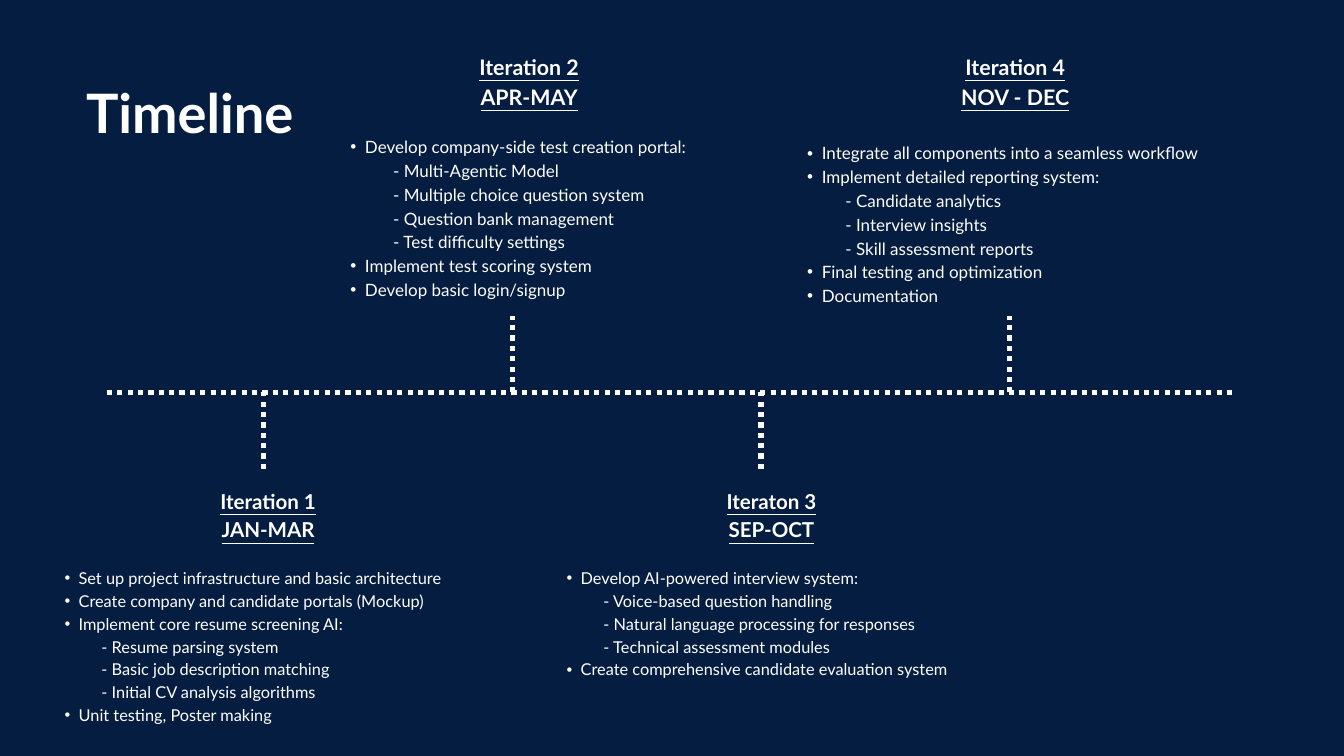
from dataclasses import dataclass

from lxml.etree import SubElement
from pptx import Presentation
from pptx.dml.color import RGBColor
from pptx.enum.dml import MSO_LINE
from pptx.enum.shapes import MSO_CONNECTOR
from pptx.enum.text import MSO_AUTO_SIZE, PP_ALIGN
from pptx.oxml.ns import qn
from pptx.util import Pt

COLORS = {"background": "051D40", "text": "FFFFFF", "line": "FFFFFF"}
FONT = "Lato"
LINE_FACTOR = 1.4
AXIS_Y, AXIS_LEFT, AXIS_RIGHT = 420.5, 114.5, 1325.5
STEM_LEFT, STEM_STEP, STEM_LENGTH = 282.25, 266.6, 82


@dataclass
class Iteration:
    """Content and layout of one iteration; items starting with a dash are sub-items."""
    box: tuple
    heading_size: float
    body_size: float
    gap: float
    sub_indent: float
    headings: tuple
    items: tuple


ITERATIONS = (
    Iteration((54.7, 519.2, 465, 252.7), 22, 17.5, 24.5, 54, ("Iteration 1", "JAN-MAR"), (
        "Set up project infrastructure and basic architecture",
        "Create company and candidate portals (Mockup)",
        "Implement core resume screening AI:",
        "- Resume parsing system",
        "- Basic job description matching",
        "- Initial CV analysis algorithms",
        "Unit testing, Poster making")),
    Iteration((360.3, 53.3, 413.3, 265), 22.9, 18.2, 25.5, 61, ("Iteration 2", "APR-MAY"), (
        "Develop company-side test creation portal:",
        "- Multi-Agentic Model",
        "- Multiple choice question system",
        "- Question bank management",
        "- Test difficulty settings",
        "Implement test scoring system",
        "Develop basic login/signup")),
    Iteration((592.6, 519.2, 468, 206), 22, 17.5, 24.5, 54, ("Iteraton 3", "SEP-OCT"), (
        "Develop AI-powered interview system:",
        "- Voice-based question handling",
        "- Natural language processing for responses",
        "- Technical assessment modules",
        "Create comprehensive candidate evaluation system")),
    Iteration((849.8, 53.3, 476, 272), 22.9, 18.2, 32.1, 56, ("Iteration 4", "NOV - DEC"), (
        "Integrate all components into a seamless workflow",
        "Implement detailed reporting system:",
        "- Candidate analytics",
        "- Interview insights",
        "- Skill assessment reports",
        "Final testing and optimization",
        "Documentation")),
)


def add_text_box(slide, box, lines):
    """Add a text box without margins and return its text frame."""
    text_frame = slide.shapes.add_textbox(*map(Pt, box)).text_frame
    text_frame.margin_left = text_frame.margin_right = 0
    text_frame.margin_top = text_frame.margin_bottom = 0
    text_frame.word_wrap = True
    text_frame.auto_size = MSO_AUTO_SIZE.SHAPE_TO_FIT_TEXT
    text_frame.text = "\n".join(lines)
    return text_frame


def format_paragraph(paragraph, size, alignment, bold=False, underline=False):
    """Set alignment, exact line spacing and run fonts."""
    paragraph.alignment = alignment
    paragraph.line_spacing = Pt(size * LINE_FACTOR)
    for run in paragraph.runs:
        run.font.name = FONT
        run.font.size = Pt(size)
        run.font.bold = bold
        run.font.underline = underline
        run.font.color.rgb = RGBColor.from_string(COLORS["text"])


def set_indent(paragraph, left, hanging=0):
    """Set the left margin and hanging indent of a paragraph."""
    properties = paragraph._p.get_or_add_pPr()
    properties.set("marL", str(Pt(left)))
    properties.set("indent", str(-Pt(hanging)))


def add_bullet(paragraph, size):
    """Give a paragraph a round bullet with indents scaled to its text size."""
    paragraph.level = 1
    set_indent(paragraph, size * 1.69, size * 0.86)
    properties = paragraph._p.get_or_add_pPr()
    SubElement(properties, qn("a:buFont")).set("typeface", "Arial")
    SubElement(properties, qn("a:buChar")).set("char", "•")


def add_title(slide, text):
    """Add the slide title."""
    text_frame = add_text_box(slide, (80.6, 72.7, 245.5, 77.8), [text])
    format_paragraph(text_frame.paragraphs[0], 58.2, PP_ALIGN.CENTER, bold=True)


def add_dotted_line(slide, start, end):
    """Add a dotted line between two points."""
    line = slide.shapes.add_connector(MSO_CONNECTOR.STRAIGHT, *map(Pt, start + end))
    line.line.width = Pt(5.56)
    line.line.dash_style = MSO_LINE.ROUND_DOT
    line.line.color.rgb = RGBColor.from_string(COLORS["line"])
    SubElement(line._element.spPr, qn("a:effectLst"))


def add_timeline(slide):
    """Add the axis and its stems, alternately below and above."""
    add_dotted_line(slide, (AXIS_LEFT, AXIS_Y), (AXIS_RIGHT, AXIS_Y))
    for index in range(len(ITERATIONS)):
        x = STEM_LEFT + index * STEM_STEP
        bottom = AXIS_Y if index % 2 else AXIS_Y + STEM_LENGTH
        add_dotted_line(slide, (x, bottom), (x, bottom - STEM_LENGTH))


def add_iteration(slide, iteration):
    """Add the headings and the list of one iteration."""
    text_frame = add_text_box(slide, iteration.box, iteration.headings + iteration.items)
    heading_count = len(iteration.headings)
    headings = text_frame.paragraphs[:heading_count]
    items = text_frame.paragraphs[heading_count:]
    for paragraph in headings:
        format_paragraph(paragraph, iteration.heading_size, PP_ALIGN.CENTER, True, True)
    for paragraph in items:
        if paragraph.text.startswith("-"):
            set_indent(paragraph, iteration.sub_indent)
        else:
            add_bullet(paragraph, iteration.body_size)
        format_paragraph(paragraph, iteration.body_size, PP_ALIGN.JUSTIFY)
    items[0].space_before = Pt(iteration.gap)


def main():
    """Build the timeline slide and save it."""
    presentation = Presentation()
    presentation.slide_width, presentation.slide_height = Pt(1440), Pt(810)
    slide = presentation.slides.add_slide(presentation.slide_layouts[6])
    slide.background.fill.solid()
    slide.background.fill.fore_color.rgb = RGBColor.from_string(COLORS["background"])
    add_title(slide, "Timeline")
    add_timeline(slide)
    for iteration in ITERATIONS:
        add_iteration(slide, iteration)
    presentation.save("out.pptx")


if __name__ == "__main__":
    main()
